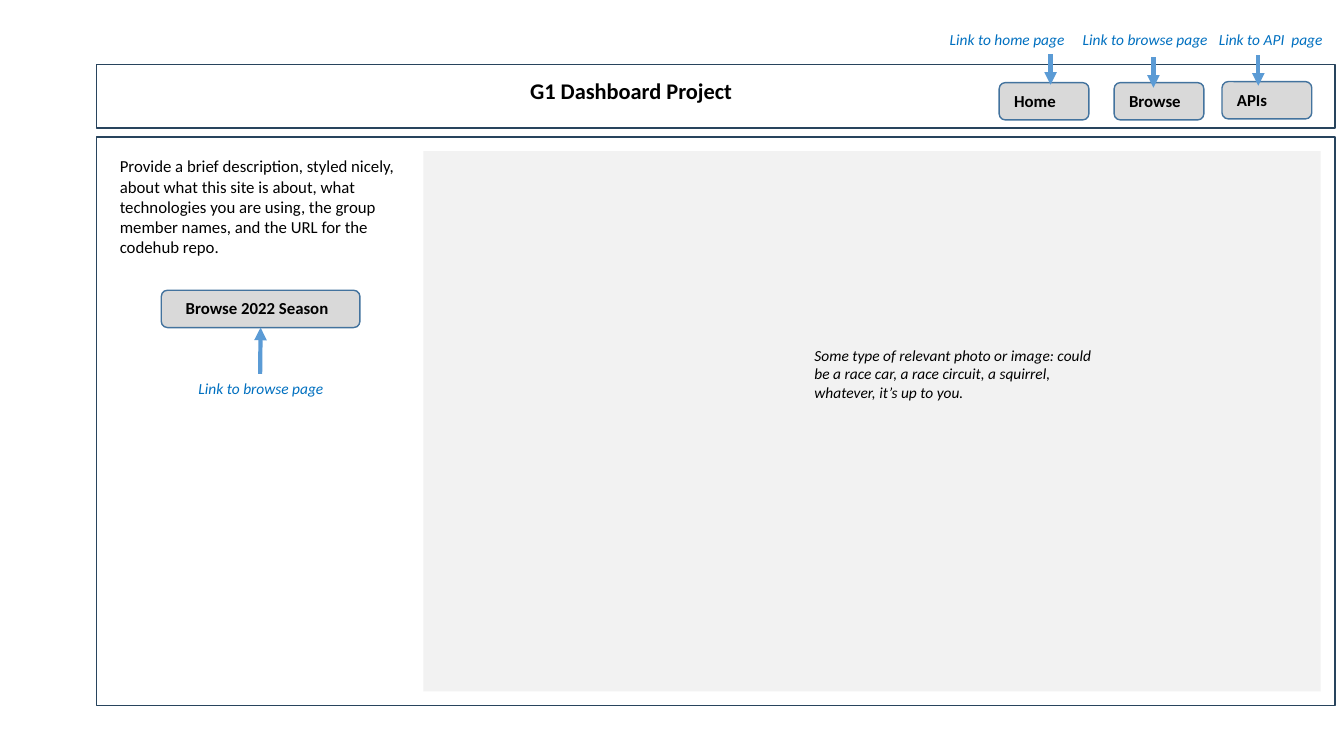
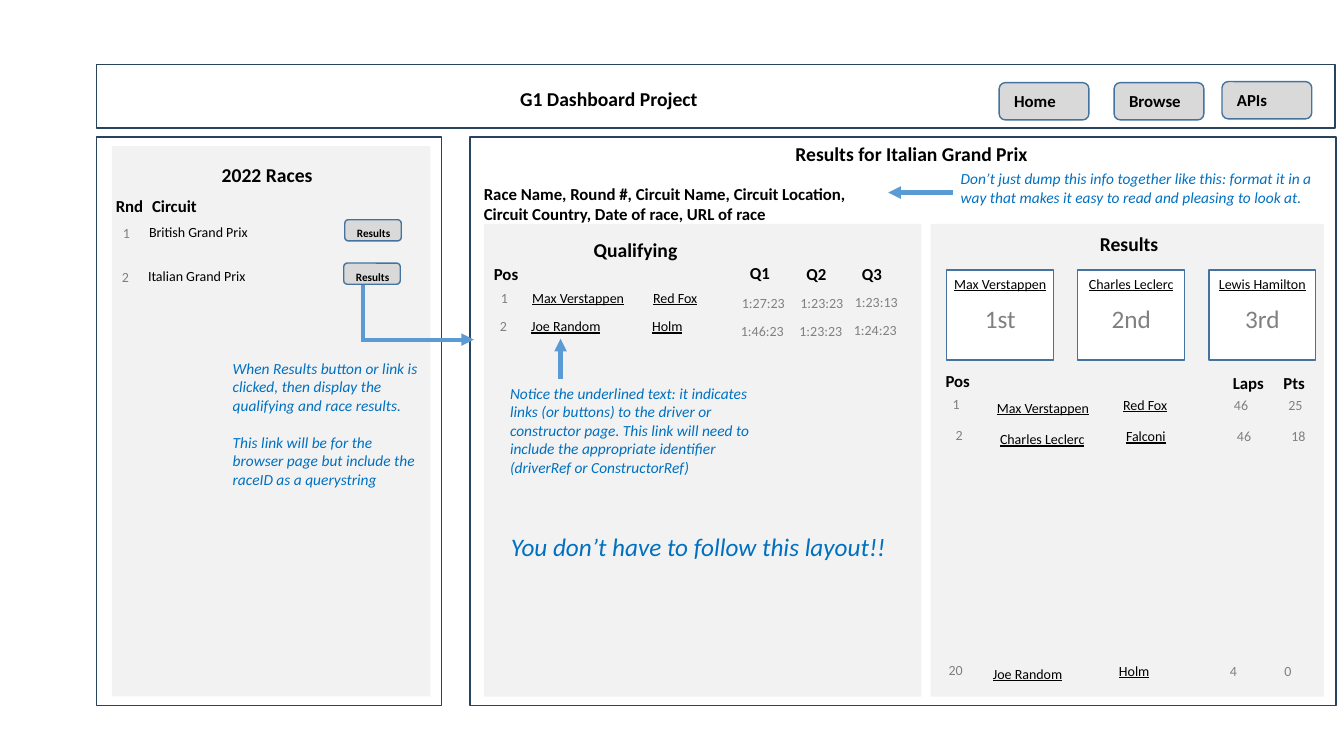
import pptx
import pptx.util
import pptx.dml.color
import pptx.enum.shapes
import pptx.enum.text
import pptx.oxml
import pptx.oxml.ns

Inches, Pt = pptx.util.Inches, pptx.util.Pt
SHAPES = pptx.enum.shapes.MSO_SHAPE
ALIGN = pptx.enum.text.PP_ALIGN
ANCHOR = pptx.enum.text.MSO_ANCHOR

# Shared look
FONT = "Calibri"
COLORS = {"ink": "000000", "muted": "808080", "note": "0070C0", "arrow": "5B9BD5",
          "frame": "28445D", "edge": "43739E", "button": "D9D9D9",
          "panel": "F2F2F2", "white": "FFFFFF"}
# style: (size, colour, bold, italic, underline)
STYLES = {"title": (16, "ink", True, False, False),
          "heading": (14, "ink", True, False, False),
          "label": (12, "ink", True, False, False),
          "tiny": (8, "ink", True, False, False),
          "body": (12, "ink", False, False, False),
          "caption": (11, "ink", False, True, False),
          "cell": (10, "ink", False, False, False),
          "link": (10, "ink", False, False, True),
          "number": (10, "muted", False, False, False),
          "place": (18, "muted", False, False, False),
          "note": (11, "note", False, True, False),
          "shout": (18, "note", False, True, False)}

# Shared content: header band and navigation
PROJECT = "G1 Dashboard Project"
HEADER = (0.96, 0.64, 12.28, 0.63)
BODY_TOP, BODY_HEIGHT = 1.36, 5.64
NAV_SIZE = (0.89, 0.37)
NAV = [("Home", 9.91, 0.82), ("Browse", 11.05, 0.82), ("APIs", 12.12, 0.81)]

# Home page content: (text, style, left, top, width, height)
HOME_TEXTS = [
    ("Some type of relevant photo or image: could be a race car, a race circuit, "
     "a squirrel, whatever, it’s up to you.", "caption", 7.98, 3.38, 2.96, 0.66),
    ("Provide a brief description, styled nicely, about what this site is about, "
     "what technologies you are using, the group member names, and the URL for the "
     "codehub repo.", "body", 1.09, 1.5, 2.96, 1.11),
    ("Link to home page", "note", 9.32, 0.25, 1.36, 0.29),
    ("Link to browse page", "note", 10.64, 0.25, 1.47, 0.29),
    ("Link to API  page", "note", 11.99, 0.25, 1.34, 0.29),
    ("Link to browse page", "note", 1.87, 3.71, 1.63, 0.29)]
NAV_ARROWS = [(10.42, 0.54), (11.44, 0.57), (12.48, 0.55)]
NAV_ARROW_LENGTH = 0.3

# Browse page content
BROWSE_TEXTS = [
    ("2022 Races", "heading", 2.1, 1.57, 1.75, 0.34),
    ("Results for Italian Grand Prix", "heading", 7.79, 1.36, 2.65, 0.34),
    ("Qualifying", "heading", 5.79, 2.31, 1.75, 0.34),
    ("Results", "heading", 10.81, 2.25, 1.75, 0.34),
    ("Race Name, Round #, Circuit Name, Circuit Location, Circuit Country, "
     "Date of race, URL of race", "label", 4.7, 1.77, 4.18, 0.5),
    ("When Results button or link is clicked, then display the qualifying and race "
     "results.\nThis link will be for the browser page but include the raceID as a "
     "querystring", "note", 2.21, 3.51, 2.05, 1.4),
    ("Don’t just dump this info together like this: format it in a way that makes it "
     "easy to read and pleasing to look at.", "note", 9.43, 1.63, 3.87, 0.47),
    ("Notice the underlined text: it indicates links (or buttons) to the driver or "
     "constructor page. This link will need to include the appropriate identifier "
     "(driverRef or ConstructorRef)", "note", 4.96, 3.76, 2.58, 1.03),
    ("You don’t have to follow this layout!!", "shout", 4.97, 5.22, 6.67, 0.4)]
COLUMN_HEADS = [("Rnd", 1.05, 1.89), ("Circuit", 1.41, 1.89),
                ("Pos", 4.8, 2.57), ("Q1", 7.34, 2.56), ("Q2", 7.9, 2.57), ("Q3", 8.45, 2.57),
                ("Pos", 9.28, 3.63), ("Laps", 12.13, 3.65), ("Pts", 12.63, 3.65)]
HEAD_SIZE = (0.7, 0.3)
ROW_HEIGHT = 0.27

# Lists: columns as (style, offset right, offset down, width), rows as (left, top, values)
RACES = {"columns": [("number", 0, 0, 0.5), ("cell", 0.26, -0.01, 1.6)],
         "rows": [(1.12, 2.18, ("1", "British Grand Prix")),
                  (1.11, 2.61, ("2", "Italian Grand Prix"))]}
QUALIFYING = {"columns": [("number", 0, 0, 0.33), ("link", 0.31, 0, 1.4),
                          ("link", 1.51, 0, 0.9), ("number", 2.39, 0.05, 0.75),
                          ("number", 2.97, 0.05, 0.75), ("number", 3.51, 0.04, 0.75)],
              "rows": [(4.87, 2.82, ("1", "Max Verstappen", "Red Fox",
                                     "1:27:23", "1:23:23", "1:23:13")),
                       (4.86, 3.1, ("2", "Joe Random", "Holm",
                                    "1:46:23", "1:23:23", "1:24:23"))]}
FINISH = {"columns": [("number", 0, 0, 0.43), ("link", 0.44, 0.04, 1.4),
                      ("link", 1.69, 0.01, 0.9), ("number", 2.79, 0.01, 0.4),
                      ("number", 3.33, 0.01, 0.4)],
          "rows": [(9.35, 3.87, ("1", "Max Verstappen", "Red Fox", "46", "25")),
                   (9.38, 4.18, ("2", "Charles Leclerc", "Falconi", "46", "18")),
                   (9.31, 6.51, ("20", "Joe Random", "Holm", "4", "0"))]}
RESULTS_BUTTON = (2.3, 0, 0.56, 0.21)  # offset from the race row, then size
PODIUM = [("Max Verstappen", "1st"), ("Charles Leclerc", "2nd"), ("Lewis Hamilton", "3rd")]
PODIUM_LEFT, PODIUM_TOP, PODIUM_STEP, PODIUM_SIZE = 9.39, 2.68, 1.3, (1.06, 0.89)


def rgb(name):
    return pptx.dml.color.RGBColor.from_string(COLORS[name])


def style_paragraph(paragraph, style, align=ALIGN.LEFT):
    size, color, bold, italic, underline = STYLES[style]
    paragraph.alignment = align
    for run in paragraph.runs:
        font = run.font
        font.name, font.size = FONT, Pt(size)
        font.bold, font.italic, font.underline = bold, italic, underline
        font.color.rgb = rgb(color)


def add_text(slide, text, style, *box):
    frame = slide.shapes.add_textbox(*map(Inches, box)).text_frame
    frame.word_wrap = True
    frame.text = text
    for index, paragraph in enumerate(frame.paragraphs):
        style_paragraph(paragraph, style)
        if index:
            paragraph.space_before = Pt(13.4)


def add_box(slide, box, fill=None, line=None, kind=SHAPES.RECTANGLE):
    shape = slide.shapes.add_shape(kind, *map(Inches, box))
    shape.shadow.inherit = False
    if fill:
        shape.fill.solid()
        shape.fill.fore_color.rgb = rgb(fill)
    else:
        shape.fill.background()
    if line:
        shape.line.color.rgb = rgb(line)
        shape.line.width = Pt(1)
    else:
        shape.line.fill.background()
    return shape


def set_margins(frame, left, top, right=0):
    frame.vertical_anchor = ANCHOR.TOP
    frame.margin_left, frame.margin_top = Inches(left), Inches(top)
    frame.margin_right, frame.margin_bottom = Inches(right), 0


def add_button(slide, text, box, style="label", align=ALIGN.LEFT, left=0.13, right=0):
    button = add_box(slide, box, "button", "edge", SHAPES.ROUNDED_RECTANGLE)
    frame = button.text_frame
    set_margins(frame, left, 0.06, right)
    frame.word_wrap = True
    frame.text = text
    style_paragraph(frame.paragraphs[0], style, align)
    return button


def add_line(slide, start, end, head=True):
    line = slide.shapes.add_connector(pptx.enum.shapes.MSO_CONNECTOR.STRAIGHT,
                                      *map(Inches, start + end))
    line.line.color.rgb = rgb("arrow")
    line.line.width = Pt(3)
    if head:
        tail = pptx.oxml.parse_xml(
            '<a:tailEnd %s type="triangle"/>' % pptx.oxml.ns.nsdecls("a"))
        line.line._get_or_add_ln().append(tail)
    line._element.spPr.append(
        pptx.oxml.parse_xml("<a:effectLst %s/>" % pptx.oxml.ns.nsdecls("a")))
    return line


def add_rows(slide, listing):
    for left, top, values in listing["rows"]:
        for value, (style, right, down, width) in zip(values, listing["columns"]):
            add_text(slide, value, style, left + right, top + down, width, ROW_HEIGHT)


def add_page(deck, title_style, *title_box):
    slide = deck.slides.add_slide(deck.slide_layouts[6])
    add_box(slide, HEADER, line="frame")
    add_text(slide, PROJECT, title_style, *title_box)
    for text, left, top in NAV:
        add_button(slide, text, (left, top, *NAV_SIZE))
    return slide


def build_home(deck):
    slide = add_page(deck, "title", 5.16, 0.72, 2.64, 0.37)
    add_box(slide, (4.2, 1.5, 8.9, 5.36), "panel")
    add_box(slide, (HEADER[0], BODY_TOP, HEADER[2], BODY_HEIGHT), line="frame")
    season = add_button(slide, "Browse 2022 Season", (1.6, 2.88, 1.97, 0.37),
                        align=ALIGN.CENTER, left=0, right=0.07)
    for item in HOME_TEXTS:
        add_text(slide, *item)
    for x, y in NAV_ARROWS:
        add_line(slide, (x, y), (x, y + NAV_ARROW_LENGTH))
    add_line(slide, (2.58, 3.71), (2.58, 3.25)).end_connect(season, 2)


def build_browse(deck):
    slide = add_page(deck, "heading", 5.06, 0.81, 2.64, 0.34)
    # Panels and frames
    for panel in [(1.11, 1.45, 3.16, 5.46), (4.8, 2.22, 4.34, 4.69), (9.23, 2.22, 3.9, 4.69)]:
        add_box(slide, panel, "panel")
    for left, width in [(0.96, 3.42), (4.66, 8.59)]:
        add_box(slide, (left, BODY_TOP, width, BODY_HEIGHT), line="frame")
    # Headings, notes and lists
    for item in BROWSE_TEXTS:
        add_text(slide, *item)
    for text, left, top in COLUMN_HEADS:
        add_text(slide, text, "label", left, top, *HEAD_SIZE)
    for listing in (RACES, QUALIFYING, FINISH):
        add_rows(slide, listing)
    right, down, *size = RESULTS_BUTTON
    for left, top, _ in RACES["rows"]:
        add_button(slide, "Results", (left + right, top + down, *size), "tiny", left=0.11)
    # Podium cards
    for index, (driver, place) in enumerate(PODIUM):
        card = add_box(slide, (PODIUM_LEFT + index * PODIUM_STEP, PODIUM_TOP, *PODIUM_SIZE),
                       "white", "edge")
        frame = card.text_frame
        set_margins(frame, 0, 0.05)
        frame.text = driver + "\n" + place
        for paragraph, style in zip(frame.paragraphs, ("link", "place")):
            style_paragraph(paragraph, style, ALIGN.CENTER)
        frame.paragraphs[1].space_before = Pt(8)
    # Arrows: button to results, note to race info, note to driver link
    add_line(slide, (3.6, 2.83), (3.6, 3.39), head=False)
    add_line(slide, (3.6, 3.37), (4.7, 3.37))
    add_line(slide, (9.45, 1.91), (8.81, 1.91))
    add_line(slide, (5.56, 3.76), (5.56, 3.36))


def main():
    deck = pptx.Presentation()
    deck.slide_width, deck.slide_height = Inches(13.33), Inches(7.5)
    build_home(deck)
    build_browse(deck)
    deck.save("out.pptx")


if __name__ == "__main__":
    main()
